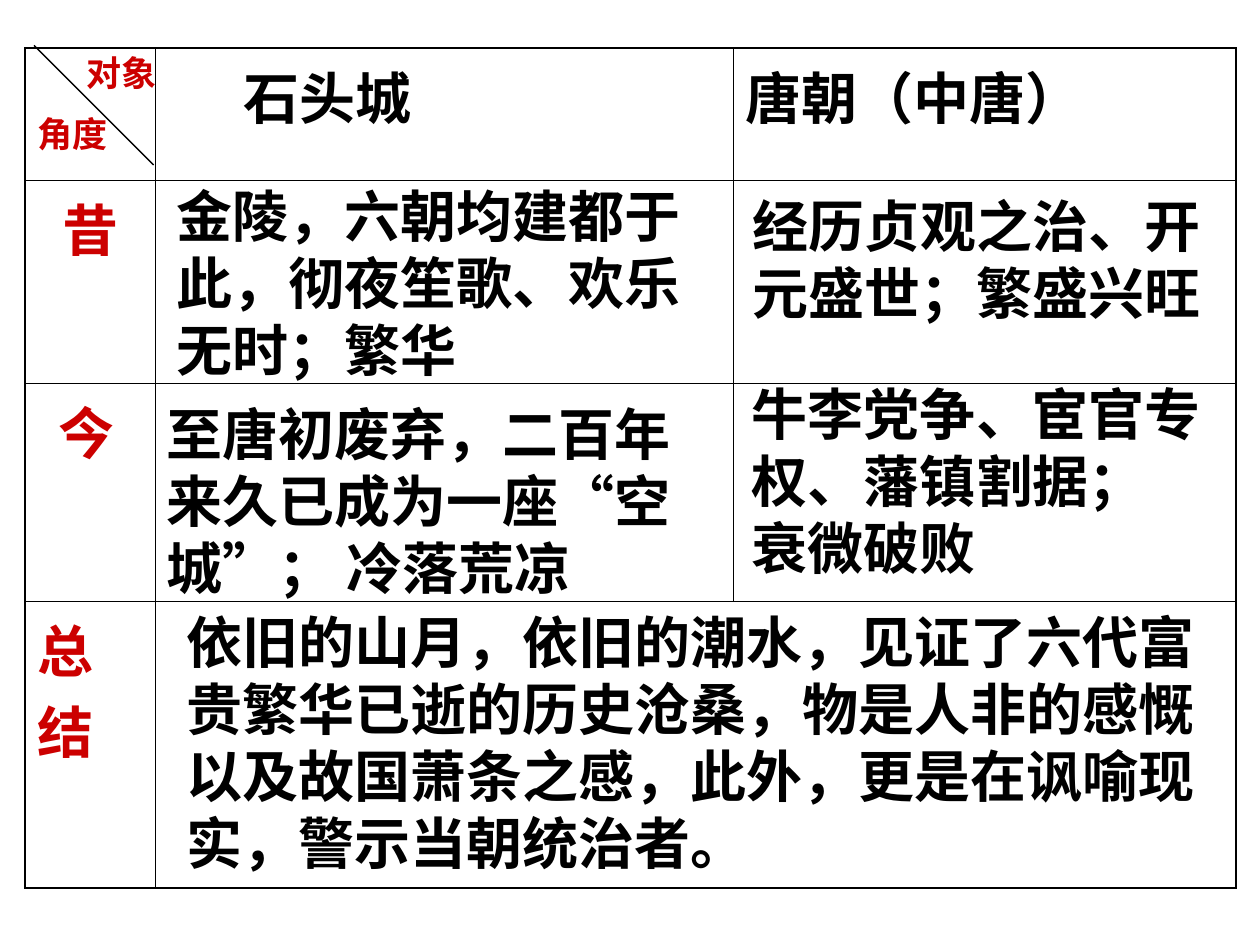
from lxml import etree
from pptx import Presentation
from pptx import util as u
from pptx.dml.color import RGBColor
from pptx.enum import shapes, text
from pptx.oxml import ns

Inches, Pt = u.Inches, u.Pt
COLORS = {"black": "000000", "red": "CC0000"}
CJK = "Noto Sans CJK SC"


def write(tf, content, size=32, color="black", align=text.PP_ALIGN.LEFT):
    for i, line in enumerate(content.split("\n")):
        p = tf.paragraphs[0] if i == 0 else tf.add_paragraph()
        p.alignment = align
        for part in line.replace("“", "|“|").replace("”", "|”|").split("|"):
            r = p.add_run()
            r.text = part
            r.font.size = Pt(size)
            r.font.bold = True
            r.font.name = "Arial" if part in ("“", "”") else CJK
            r.font.color.rgb = RGBColor.from_string(COLORS[color])
            ea = etree.SubElement(r.font._element, ns.qn("a:ea"))
            ea.set("typeface", CJK)


def set_border(cell, side, width):
    ln = etree.SubElement(cell._tc.get_or_add_tcPr(), ns.qn(f"a:ln{side}"), w=str(Pt(width)))
    fill = etree.SubElement(ln, ns.qn("a:solidFill"))
    etree.SubElement(fill, ns.qn("a:srgbClr"), val=COLORS["black"])


prs = Presentation()
prs.slide_width, prs.slide_height = Inches(10), Inches(7.5)
s = prs.slides.add_slide(prs.slide_layouts[6])

widths = [1.03, 4.59, 3.99]
heights = [1.05, 1.61, 1.73, 2.28]
frame = s.shapes.add_table(4, 3, Inches(0.2), Inches(0.38), Inches(sum(widths)), Inches(sum(heights)))
table = frame.table
table.first_row = table.horz_banding = False
for col, width in zip(table.columns, widths):
    col.width = Inches(width)
for row, height in zip(table.rows, heights):
    row.height = Inches(height)

for y in range(4):
    for x in range(3):
        cell = table.cell(y, x)
        outer = {"L": x == 0, "R": x == 2 or (y == 3 and x == 1), "T": y == 0, "B": y == 3}
        for side, is_outer in outer.items():
            set_border(cell, side, 1.08 if is_outer else 0.45)
        cell.fill.background()
table.cell(3, 1).merge(table.cell(3, 2))

table.cell(0, 1).margin_left = Inches(0.7)
write(table.cell(0, 1).text_frame, "石头城")
write(table.cell(0, 2).text_frame, "唐朝（中唐）")
table.cell(2, 0).margin_right = Inches(0.15)
for y, label in enumerate(["昔", "今"], 1):
    write(table.cell(y, 0).text_frame, label, color="red", align=text.PP_ALIGN.CENTER)
write(table.cell(3, 0).text_frame, "总结", color="red")

diagonal = s.shapes.add_connector(
    shapes.MSO_CONNECTOR.STRAIGHT, Inches(0.27), Inches(0.36), Inches(1.22), Inches(1.31))
diagonal.line.width = Pt(0.75)
diagonal.line.color.rgb = RGBColor.from_string(COLORS["black"])
etree.SubElement(diagonal._element.spPr, ns.qn("a:effectLst"))

notes = [
    (0.59, 0.36, 0.94, 0.44, 20, "red", "对象"),
    (0.2, 0.84, 1.1, 0.44, 20, "red", "角度"),
    (1.3, 1.39, 4.49, 1.7, 32, "black", "金陵，六朝均建都于此，彻夜笙歌、欢乐无时；繁华"),
    (5.87, 1.47, 3.78, 1.17, 32, "black", "经历贞观之治、开元盛世；繁盛兴旺"),
    (1.22, 3.12, 4.57, 1.7, 32, "black", "至唐初废弃，二百年来久已成为一座“空城”； 冷落荒凉"),
    (5.87, 2.96, 3.94, 1.7, 32, "black", "牛李党争、宦官专权、藩镇割据；\n衰微破败"),
    (1.38, 4.77, 8.62, 2.24, 32, "black",
     "依旧的山月，依旧的潮水，见证了六代富贵繁华已逝的历史沧桑，物是人非的感慨"
     "以及故国萧条之感，此外，更是在讽喻现实，警示当朝统治者。"),
]
for left, top, width, height, size, color, content in notes:
    sp = s.shapes.add_textbox(Inches(left), Inches(top), Inches(width), Inches(height))
    tf = sp.text_frame
    tf.word_wrap = True
    write(tf, content, size=size, color=color)

prs.save("out.pptx")
